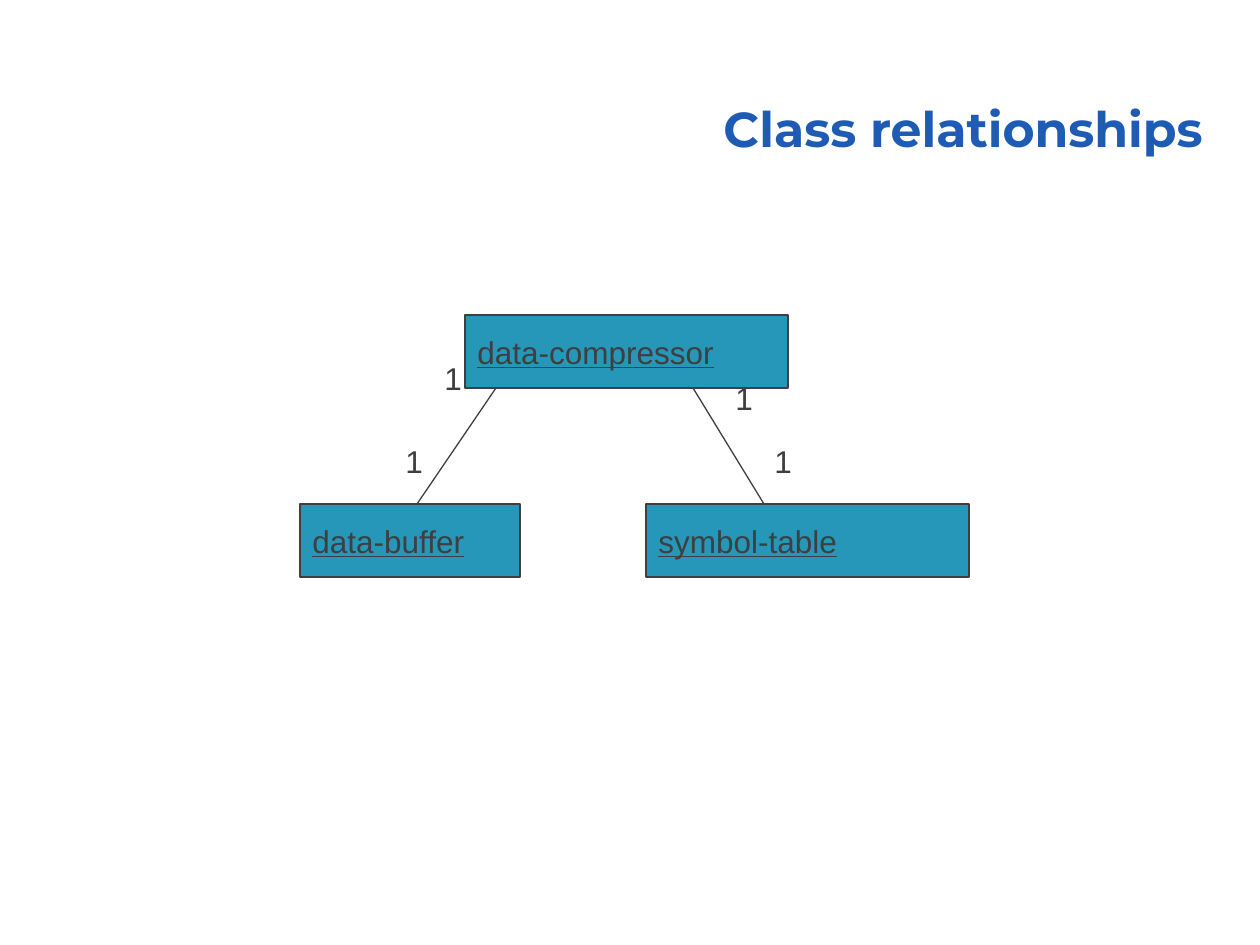
from lxml.etree import SubElement
from pptx import Presentation
from pptx.dml.color import RGBColor
from pptx.enum.shapes import MSO_CONNECTOR, MSO_SHAPE
from pptx.enum.text import MSO_ANCHOR, PP_ALIGN
from pptx.oxml.ns import qn
from pptx.util import Emu, Inches, Pt

BLUE = RGBColor(0x1E, 0x5B, 0xB4)
TEAL = RGBColor(0x27, 0x97, 0xB9)
DARK = RGBColor(0x3D, 0x3F, 0x41)

PX_PER_INCH = 126
CLASS_HEIGHT = 73
PARENT_TOP, CHILD_TOP = 315, 504


def px(*lengths):
    return [Emu(round(length * 914400 / PX_PER_INCH)) for length in lengths]


def write(frame, text, size, color, font_name="Arial"):
    """Set a one-line text and return its paragraph and font."""
    frame.text = text
    paragraph = frame.paragraphs[0]
    paragraph.alignment = PP_ALIGN.LEFT
    font = paragraph.runs[0].font
    font.name, font.size, font.color.rgb = font_name, Pt(size), color
    return paragraph, font


prs = Presentation()
prs.slide_width, prs.slide_height = Inches(10), Inches(7.5)
slide = prs.slides.add_slide(prs.slide_layouts[6])
shapes = slide.shapes

# Title
title = shapes.add_textbox(*px(370, 67, 845, 97)).text_frame
title.word_wrap = True
title.vertical_anchor = MSO_ANCHOR.BOTTOM
heading, heading_font = write(title, "Class relationships", 28, BLUE, "Montserrat")
heading.alignment = PP_ALIGN.RIGHT
heading.line_spacing = 0.9
heading_font.bold = True

# Classes
for class_name, left, top, width in [
    ("symbol-table", 646, CHILD_TOP, 323),
    ("data-compressor", 465, PARENT_TOP, 323),
    ("data-buffer", 300, CHILD_TOP, 220),
]:
    class_box = shapes.add_shape(
        MSO_SHAPE.RECTANGLE, *px(left, top, width, CLASS_HEIGHT))
    class_box.shadow.inherit = False
    class_box.fill.solid()
    class_box.fill.fore_color.rgb = TEAL
    class_box.line.color.rgb = DARK
    class_box.line.width = Pt(0.75)
    class_box.text_frame.word_wrap = False
    class_box.text_frame.vertical_anchor = MSO_ANCHOR.MIDDLE
    _, class_font = write(class_box.text_frame, class_name, 18, DARK)
    class_font.underline = True

# Associations from the parent class down to its parts
for parent_x, child_x in [(496, 417), (693, 764)]:
    association = shapes.add_connector(
        MSO_CONNECTOR.STRAIGHT,
        *px(parent_x, PARENT_TOP + CLASS_HEIGHT, child_x, CHILD_TOP))
    association.line.color.rgb = DARK
    association.line.width = Pt(0.75)
    SubElement(association._element.spPr, qn("a:effectLst"))

# Multiplicities at the ends of the associations
for left, top in [(393, 436), (432, 353), (762, 436), (723, 373)]:
    multiplicity = shapes.add_textbox(*px(left, top, 43, 50)).text_frame
    multiplicity.word_wrap = False
    write(multiplicity, "1", 18, DARK)

prs.save("out.pptx")
